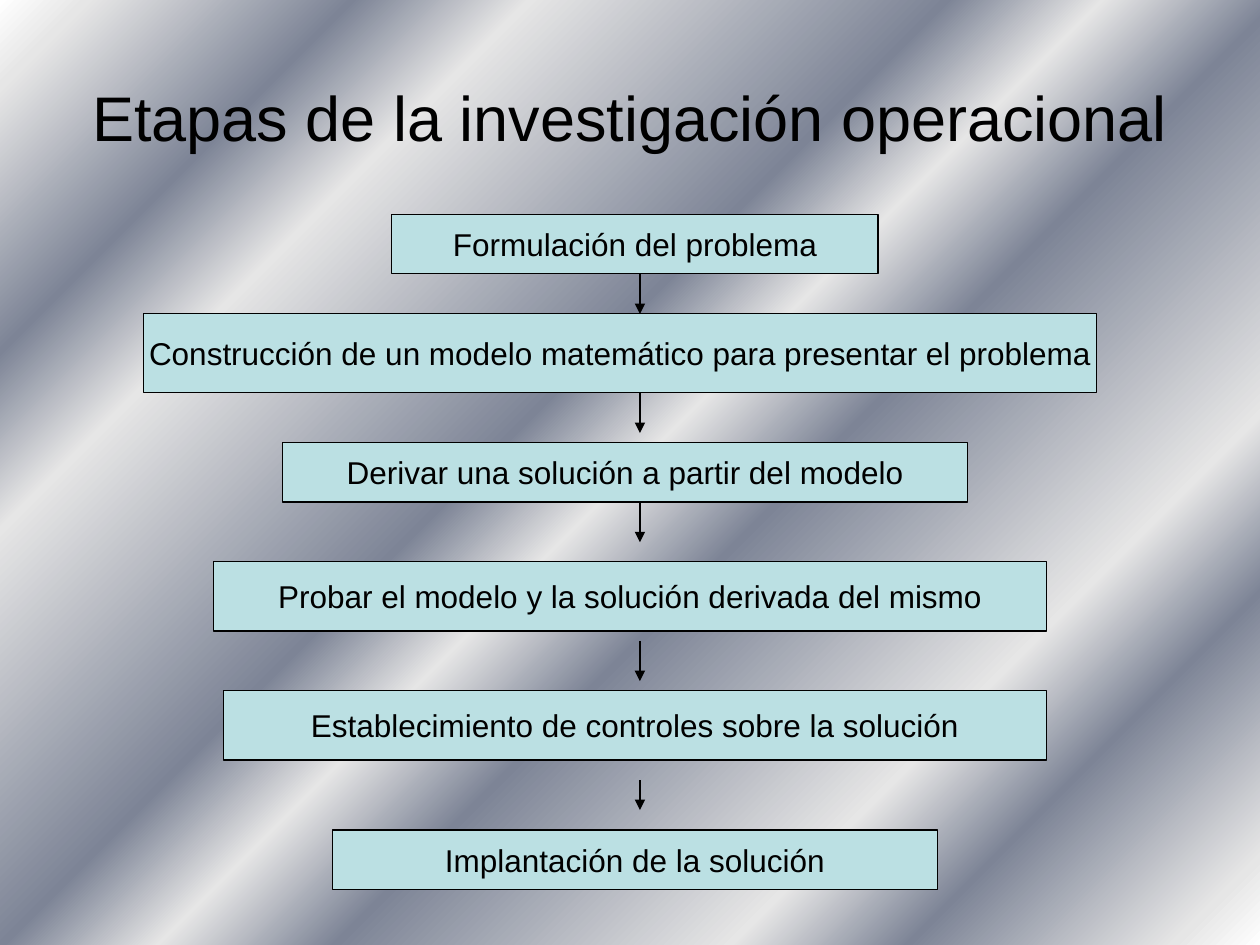
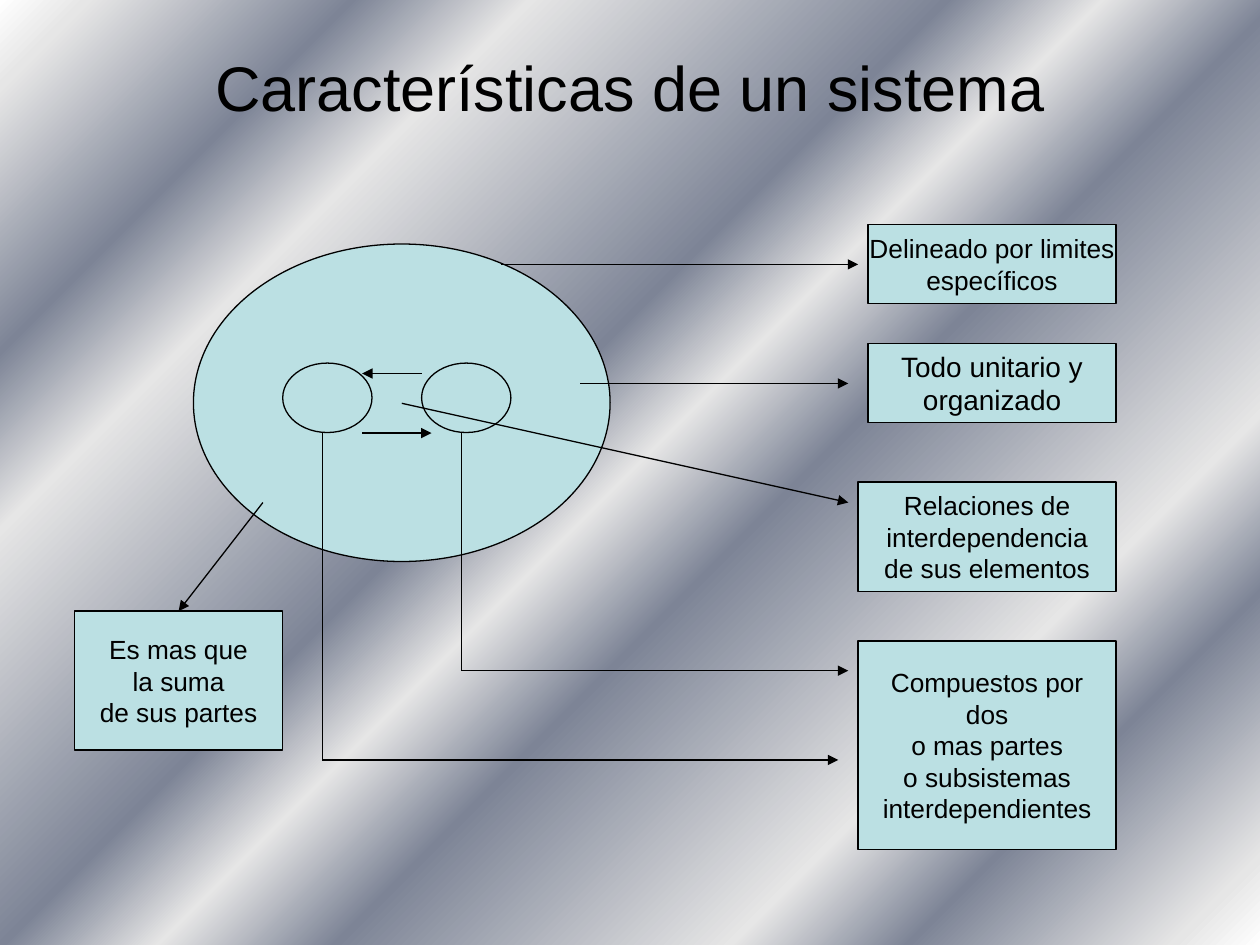
from dataclasses import dataclass
from typing import Optional

from lxml.etree import SubElement
from pptx import Presentation
from pptx.dml.color import RGBColor
from pptx.enum.shapes import MSO_CONNECTOR as Connector, MSO_SHAPE as Preset
from pptx.enum.text import MSO_ANCHOR as Anchor, PP_ALIGN as Align
from pptx.oxml.ns import qn
from pptx.util import Cm, Pt

FONT = "Arial"
INK = "000000"
PALE_BLUE = "BBE0E3"
WHITE, SILVER, SLATE = "FFFFFF", "E6E6E6", "7D8496"
STRIPES = [
    (0, WHITE), (4, SILVER), (16, SLATE), (24, SILVER), (43, SLATE), (50, SILVER),
    (58, SLATE), (76, SILVER), (84, SLATE), (96, SILVER), (100, WHITE),
]
TOP_SIDE = 0
FLOW_X = 12.9


@dataclass
class Node:
    left: float
    top: float
    width: float
    height: float
    text: str = ""
    size: float = 15
    preset: Preset = Preset.RECTANGLE


@dataclass
class Link:
    x1: float
    y1: float
    x2: float
    y2: float
    arrow: bool = True
    target: Optional[str] = None


STAGES = [
    Node(7.9, 4.32, 9.8, 1.2, "Formulación del problema", 18),
    Node(2.9, 6.32, 19.2, 1.6,
         "Construcción de un modelo matemático para presentar el problema", 18),
    Node(5.7, 8.92, 13.8, 1.2, "Derivar una solución a partir del modelo", 18),
    Node(4.3, 11.32, 16.8, 1.4, "Probar el modelo y la solución derivada del mismo", 18),
    Node(4.5, 13.92, 16.6, 1.4, "Establecimiento de controles sobre la solución", 18),
    Node(6.7, 16.73, 12.2, 1.2, "Implantación de la solución", 18),
]
STAGE_ARROWS = [
    Link(FLOW_X, top, FLOW_X, top + length)
    for top, length in [(5.53, 0.8), (7.93, 0.8), (10.13, 0.8), (12.93, 0.8), (15.73, 0.6)]
]

SUM_OF_PARTS = "Es mas que\nla suma\nde sus partes"
SYSTEM = [
    Node(3.9, 4.92, 8.4, 6.4, preset=Preset.OVAL),
    Node(5.7, 7.32, 1.8, 1.4, preset=Preset.OVAL),
    Node(8.5, 7.32, 1.8, 1.4, preset=Preset.OVAL),
]
TRAITS = [
    Node(17.5, 4.52, 5, 1.6, "Delineado por limites\nespecíficos"),
    Node(17.5, 6.92, 5, 1.6, "Todo unitario y\norganizado", 16),
    Node(17.3, 9.72, 5.2, 2.2, "Relaciones de\ninterdependencia\nde sus elementos"),
    Node(17.3, 12.92, 5.2, 4.2,
         "Compuestos por\ndos\no mas partes\no subsistemas\ninterdependientes"),
    Node(1.5, 12.32, 4.2, 2.8, SUM_OF_PARTS),
]
SYSTEM_LINKS = [
    Link(7.3, 8.73, 8.7, 8.73),
    Link(8.5, 7.53, 7.3, 7.53),
    Link(10.1, 5.33, 17.3, 5.33),
    Link(11.7, 7.73, 17.1, 7.73),
    Link(8.1, 8.13, 17.1, 10.13),
    Link(9.3, 8.73, 9.3, 13.52, arrow=False),
    Link(9.3, 13.52, 17.1, 13.52),
    Link(6.5, 8.73, 6.5, 15.32, arrow=False),
    Link(6.5, 15.32, 16.9, 15.32),
    Link(5.3, 10.13, 3.7, 12.32, target=SUM_OF_PARTS),
]


def color(value: str) -> RGBColor:
    return RGBColor.from_string(value)


def paint_stripes(master) -> None:
    fill = master.background.fill
    fill.gradient()
    fill.gradient_angle = 315
    stops = master.element.find(".//" + qn("a:gsLst"))
    for stop in list(stops):
        stops.remove(stop)
    for percent, shade in STRIPES:
        stop = SubElement(stops, qn("a:gs"), pos=str(percent * 1000))
        SubElement(stop, qn("a:srgbClr"), val=shade)


def write(shape, text: str, size: float, wrap: bool) -> None:
    frame = shape.text_frame
    frame.text = text
    frame.word_wrap = wrap
    frame.vertical_anchor = Anchor.MIDDLE
    for para in frame.paragraphs:
        para.alignment = Align.CENTER
        for span in para.runs:
            span.font.name = FONT
            span.font.size = Pt(size)
            span.font.color.rgb = color(INK)


def add_title(page, text: str, height: float) -> None:
    box = page.shapes.add_textbox(Cm(1.27), Cm(0.76), Cm(22.86), Cm(height))
    write(box, text, 36, True)


def add_node(page, node: Node):
    shape = page.shapes.add_shape(
        node.preset, Cm(node.left), Cm(node.top), Cm(node.width), Cm(node.height))
    shape.shadow.inherit = False
    shape.fill.solid()
    shape.fill.fore_color.rgb = color(PALE_BLUE)
    shape.line.color.rgb = color(INK)
    shape.line.width = Pt(0.75)
    if node.text:
        write(shape, node.text, node.size, False)
    return shape


def add_link(page, link: Link, boxes: dict) -> None:
    line = page.shapes.add_connector(
        Connector.STRAIGHT, Cm(link.x1), Cm(link.y1), Cm(link.x2), Cm(link.y2))
    line.line.color.rgb = color(INK)
    line.line.width = Pt(0.75)
    if link.arrow:
        SubElement(line.line._get_or_add_ln(), qn("a:tailEnd"), type="triangle")
    SubElement(line.element.spPr, qn("a:effectLst"))
    if link.target:
        line.end_connect(boxes[link.target], TOP_SIDE)


def add_diagram(deck, title: str, title_height: float,
                nodes: list[Node], links: list[Link]) -> None:
    page = deck.slides.add_slide(deck.slide_layouts[6])
    add_title(page, title, title_height)
    boxes = {node.text: add_node(page, node) for node in nodes}
    for link in links:
        add_link(page, link, boxes)


def main() -> None:
    deck = Presentation()
    deck.slide_width, deck.slide_height = Cm(25.4), Cm(19.05)
    paint_stripes(deck.slide_master)
    add_diagram(deck, "Etapas de la investigación operacional", 3.18, STAGES, STAGE_ARROWS)
    add_diagram(deck, "Características de un sistema", 1.96, SYSTEM + TRAITS, SYSTEM_LINKS)
    deck.save("out.pptx")


if __name__ == "__main__":
    main()
